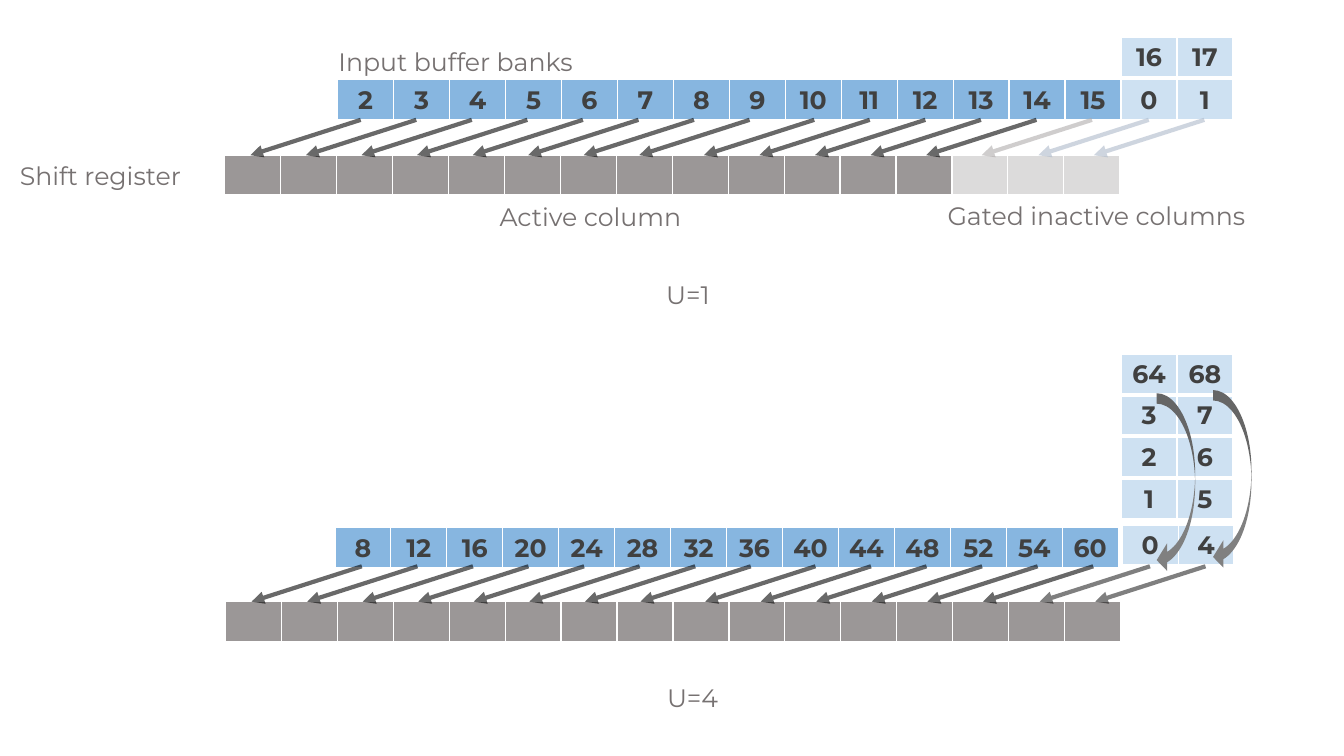
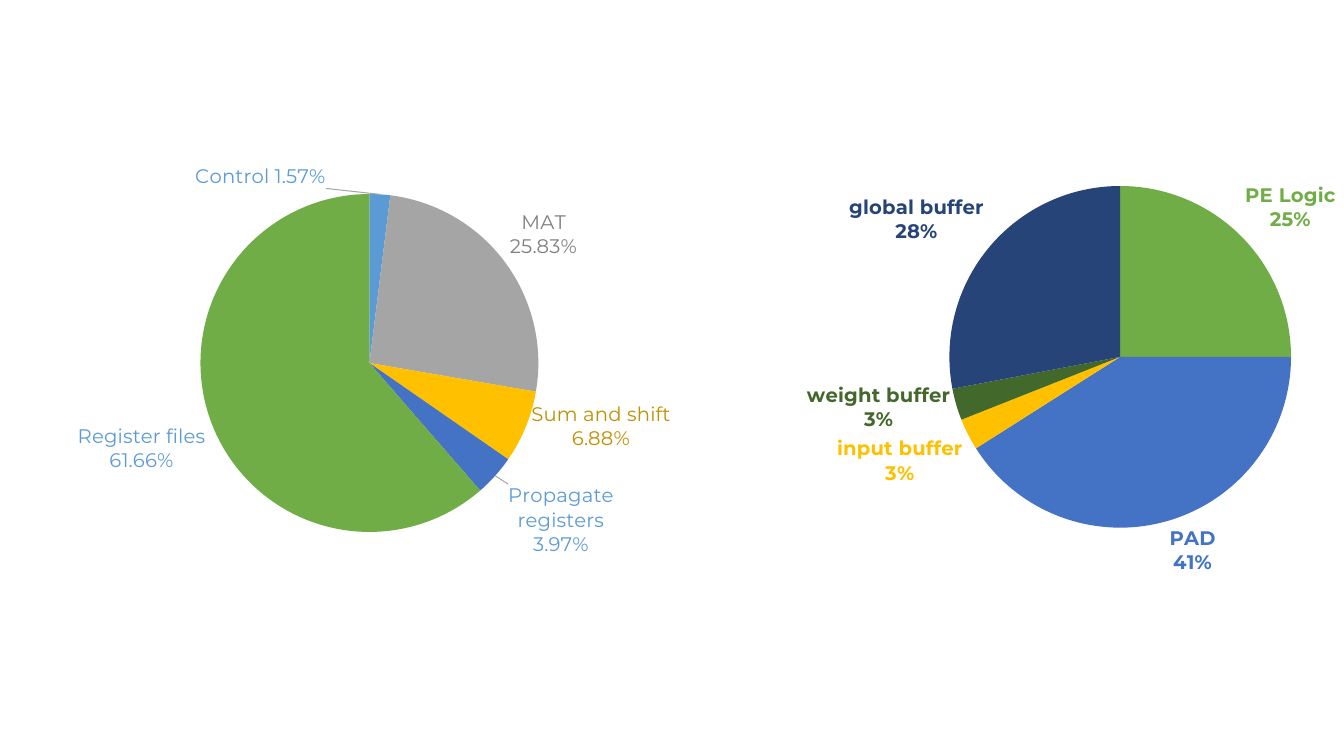
from lxml.etree import SubElement
from pptx import Presentation
from pptx.chart.data import CategoryChartData
from pptx.dml.color import RGBColor
from pptx.enum.chart import XL_CHART_TYPE, XL_LABEL_POSITION
from pptx.enum.shapes import MSO_CONNECTOR, MSO_SHAPE
from pptx.enum.text import PP_ALIGN
from pptx.oxml.ns import qn
from pptx.util import Cm, Pt

FONT = "Montserrat"
rgb = RGBColor.from_string
CELL_TEXT = {"name": FONT, "size": Pt(18), "bold": True}
LABEL_TEXT = {"name": FONT, "size": Pt(18)}
CHART_TEXT = {"name": FONT, "size": Pt(14)}
BLUE, PALE_BLUE, GREY, PALE_GREY = "5B9BD5", "BDD7EE", "767171", "D0CECE"
CELL_W, CELL_H = 1.41, 1.03
ARROW_PITCH, ARROW_DX, ARROW_DY = 1.4, -2.78, 0.89


def style(font, values, colour):
    for name, value in values.items():
        setattr(font, name, value)
    font.color.rgb = rgb(colour)


def add_layout(parent, index, **values):
    """Insert a manual chart layout, its values given as fractions of the chart."""
    for old in parent.findall(qn("c:layout")):
        parent.remove(old)
    layout = SubElement(parent, qn("c:layout"))
    manual = SubElement(layout, qn("c:manualLayout"))
    for name, value in values.items():
        SubElement(manual, qn(f"c:{name}")).set("val", str(value))
    parent.insert(index, layout)


prs = Presentation()
prs.slide_width, prs.slide_height = Cm(33.87), Cm(19.05)
blank = prs.slide_layouts[6]

# Slide 1: buffer banks feeding a shift register
s = prs.slides.add_slide(blank)

# left, top, cell texts, cell colours
rows = [
    (8.51, 2.01, range(2, 16), [BLUE] * 14),
    (5.66, 3.91, [""] * 16, [GREY] * 13 + [PALE_GREY] * 3),
    (28.25, 2.01, (0, 1), [PALE_BLUE] * 2),
    (28.25, 0.94, (16, 17), [PALE_BLUE] * 2),
    (8.44, 13.3, (8, 12, 16, 20, 24, 28, 32, 36, 40, 44, 48, 52, 54, 60), [BLUE] * 14),
    (5.68, 15.16, [""] * 16, [GREY] * 16),
    (28.25, 12.07, (1, 5), [PALE_BLUE] * 2),
    (28.25, 11.02, (2, 6), [PALE_BLUE] * 2),
    (28.25, 9.96, (3, 7), [PALE_BLUE] * 2),
    (28.25, 8.92, (64, 68), [PALE_BLUE] * 2),
    (28.28, 13.23, (0, 4), [PALE_BLUE] * 2),
]
for left, top, texts, colours in rows:
    n = len(texts)
    table = s.shapes.add_table(1, n, Cm(left), Cm(top), Cm(n * CELL_W), Cm(CELL_H)).table
    table.first_row = table.horz_banding = False
    for column, cell, text, colour in zip(table.columns, table.iter_cells(), texts, colours):
        column.width = Cm(CELL_W)
        p = cell.text_frame.paragraphs[0]
        p.text = str(text)
        p.alignment = PP_ALIGN.CENTER
        for r in p.runs:
            style(r.font, CELL_TEXT, "404040")
        tc_pr = cell._tc.get_or_add_tcPr()
        for side, width in (("L", 1), ("R", 1), ("T", 1), ("B", 3)):
            border = SubElement(tc_pr, qn(f"a:ln{side}"), w=str(Pt(width)))
            SubElement(SubElement(border, qn("a:solidFill")), qn("a:srgbClr"), val="FFFFFF")
        cell.fill.solid()
        cell.fill.fore_color.rgb = rgb(colour)
        SubElement(tc_pr.find(qn("a:solidFill"))[0], qn("a:alpha"), val="73000")

arrow_starts = [start + i * ARROW_PITCH
                for start, count in ((9.09, 8), (20.52, 6), (28.95, 2))
                for i in range(count)]
# x shift, top, colours, opacities in percent
arrow_rows = [
    (0, 3.02, ["000000"] * 13 + ["AFABAB"] + ["ADB9CA"] * 2, [59] * 16),
    (0.03, 14.27, ["000000"] * 16, [59] * 14 + [49] * 2),
]
for shift, top, colours, opacities in arrow_rows:
    for start, colour, opacity in zip(arrow_starts, colours, opacities):
        x = start + shift
        arrow = s.shapes.add_connector(MSO_CONNECTOR.STRAIGHT, Cm(x), Cm(top),
                                       Cm(x + ARROW_DX), Cm(top + ARROW_DY))
        arrow.line.width = Pt(3)
        arrow.line.color.rgb = rgb(colour)
        ln = arrow.line._get_or_add_ln()
        SubElement(ln.find(qn("a:solidFill"))[0], qn("a:alpha"), val=str(opacity * 1000))
        SubElement(ln, qn("a:tailEnd"), type="triangle")
        SubElement(arrow._element.spPr, qn("a:effectLst"))

for left, top in ((30.57, 9.83), (29.15, 9.91)):
    sp = s.shapes.add_shape(MSO_SHAPE.CURVED_LEFT_ARROW, Cm(left), Cm(top), Cm(0.97), Cm(4.55))
    sp.shadow.inherit = False
    sp.fill.solid()
    sp.fill.fore_color.rgb = rgb("808080")
    sp.line.fill.background()
    for i, value in enumerate((0.27, 0.71, 0.27)):
        sp.adjustments[i] = value

for text, left, top, width in (
    ("Input buffer banks", 8.28, 1.04, 6.93),
    ("Shift register", 0.25, 3.91, 5.13),
    ("Active column", 12.34, 4.94, 5.51),
    ("Gated inactive columns", 23.63, 4.93, 8.79),
    ("U=1", 16.54, 6.92, 1.9),
    ("U=4", 16.56, 17.07, 1.9),
):
    tf = s.shapes.add_textbox(Cm(left), Cm(top), Cm(width), Cm(1.02)).text_frame
    tf.word_wrap = True
    r = tf.paragraphs[0].add_run()
    r.text = text
    style(r.font, LABEL_TEXT, GREY)

# Slide 2: two pies
s = prs.slides.add_slide(blank)

# slices: category, value, fill, label colour, label shift, label text (None: category and percent)
pies = [
    {"frame": (-1.35, 3.78, 21.56, 11.07), "centre": (9.32, 9.15), "diameter": 8.52,
     "bold": False, "leaders": True,
     "slices": [
         ("DPC", 2, "5B9BD5", "5B9BD5", (-0.14, 0), "Control 1.57%"),
         ("FS", 0, "ED7D31", "5B9BD5", None, "Fetch"),
         ("MS", 26, "A5A5A5", "7F7F7F", None, "MAT\n25.83%"),
         ("SS", 7, "FFC000", "BF9000", (0, -0.06), "Sum and shift\n6.88%"),
         ("PS", 4, "4472C4", "5B9BD5", (0.01, 0.01), "Propagate registers\n3.97%"),
         ("PAD", 62, "70AD47", "5B9BD5", None, "Register files\n61.66%"),
     ]},
    {"frame": (17.32, 3.73, 19.84, 11.2), "centre": (28.24, 8.99), "diameter": 8.62,
     "bold": True, "leaders": False,
     "slices": [
         ("PE Logic", 25, "70AD47", "70AD47", None, None),
         ("PAD", 41, "4472C4", "4472C4", None, None),
         ("input buffer", 3, "FFC000", "FFC000", None, None),
         ("weight buffer", 3, "43682B", "43682B", (0, -0.05), None),
         ("global buffer", 28, "264478", "264478", None, None),
     ]},
]
for pie in pies:
    left, top, width, height = pie["frame"]
    cx, cy = pie["centre"]
    d = pie["diameter"]
    text_style = {**CHART_TEXT, "bold": pie["bold"]}
    data = CategoryChartData()
    data.categories = [row[0] for row in pie["slices"]]
    data.add_series("Series 1", [row[1] for row in pie["slices"]])
    chart = s.shapes.add_chart(XL_CHART_TYPE.PIE, Cm(left), Cm(top), Cm(width), Cm(height),
                               data).chart
    chart.has_title = chart.has_legend = False
    style(chart.font, text_style, "000000")
    plot = chart.plots[0]
    plot.vary_by_categories = True
    add_layout(plot._element.getparent(), 0, layoutTarget="inner", xMode="edge", yMode="edge",
               x=round((cx - d / 2 - left) / width, 3), y=round((cy - d / 2 - top) / height, 3),
               w=round(d / width, 3), h=round(d / height, 3))
    series = plot.series[0]
    for i, (_, _, fill, colour, shift, text) in enumerate(pie["slices"]):
        point = series.points[i]
        point.format.fill.solid()
        point.format.fill.fore_color.rgb = rgb(fill)
        point.format.line.fill.background()
        label = point.data_label
        if text:
            label.text_frame.text = text
            for p in label.text_frame.paragraphs:
                style(p.runs[0].font, text_style, colour)
        else:
            style(label.font, text_style, colour)
        label.position = XL_LABEL_POSITION.OUTSIDE_END
        d_lbl = series._element.xpath(f".//c:dLbl[c:idx/@val='{i}']")[0]
        for flag, shown in (("showVal", 0), ("showCatName", 1), ("showPercent", int(not text))):
            d_lbl.find(qn(f"c:{flag}")).set("val", str(shown))
        SubElement(d_lbl, qn("c:separator")).text = "\n"
        if shift:
            add_layout(d_lbl, 1, x=shift[0], y=shift[1])

    d_lbls = series._element.find(qn("c:dLbls"))
    for tag in ("c:showLeaderLines", "c:leaderLines"):
        for old in d_lbls.findall(qn(tag)):
            d_lbls.remove(old)
    SubElement(d_lbls, qn("c:showLeaderLines"), val=str(int(pie["leaders"])))
    if pie["leaders"]:
        sp_pr = SubElement(SubElement(d_lbls, qn("c:leaderLines")), qn("c:spPr"))
        ln = SubElement(sp_pr, qn("a:ln"), w=str(Pt(0.75)))
        SubElement(SubElement(ln, qn("a:solidFill")), qn("a:srgbClr"), val="A6A6A6")

prs.save("out.pptx")
